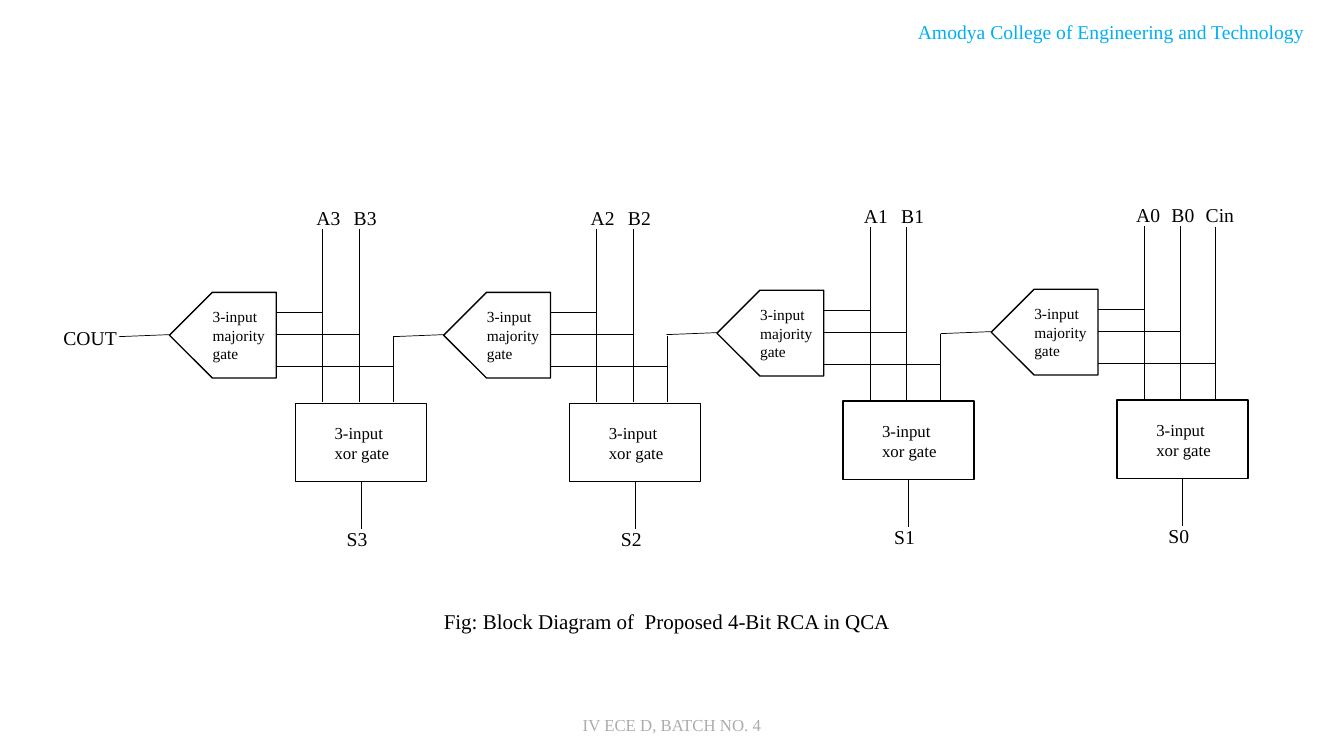
import pptx
import pptx.util
import pptx.dml.color
import pptx.enum.shapes
import pptx.enum.text
import pptx.oxml
import pptx.oxml.ns
from dataclasses import dataclass

PX = 9144  # EMU in one px, 100 px to the inch


@dataclass(frozen=True)
class Theme:
    font: str = "Times New Roman"
    ink: str = "000000"
    paper: str = "FFFFFF"
    blue: str = "00B0F0"
    gray: str = "AFABAB"
    title: int = 15
    label: int = 14
    small: int = 12
    tiny: int = 11
    thick: float = 1
    thin: float = 0.5


def color(code):
    return pptx.dml.color.RGBColor.from_string(code)


class Board:
    def __init__(self, slide, theme):
        self.slide, self.theme = slide, theme

    def text(self, words, x, y, w, h, size=None, ink=None, center=False):
        box = self.slide.shapes.add_textbox(x * PX, y * PX, w * PX, h * PX)
        frame = box.text_frame
        frame.word_wrap = True
        para = frame.paragraphs[0]
        align = pptx.enum.text.PP_ALIGN
        para.alignment = align.CENTER if center else align.LEFT
        run = para.add_run()
        run.text = words
        run.font.name = self.theme.font
        run.font.size = pptx.util.Pt(size or self.theme.label)
        run.font.color.rgb = color(ink or self.theme.ink)

    def block(self, kind, x, y, w, h, turn=0):
        shape = self.slide.shapes.add_shape(kind, x * PX, y * PX, w * PX, h * PX)
        shape.rotation = turn
        shape.shadow.inherit = False
        shape.fill.solid()
        shape.fill.fore_color.rgb = color(self.theme.paper)
        shape.line.color.rgb = color(self.theme.ink)
        shape.line.width = pptx.util.Pt(self.theme.thick)

    def wire(self, x1, y1, x2, y2):
        kind = pptx.enum.shapes.MSO_CONNECTOR.STRAIGHT
        line = self.slide.shapes.add_connector(
            kind, x1 * PX, y1 * PX, x2 * PX, y2 * PX)
        line.line.color.rgb = color(self.theme.ink)
        line.line.width = pptx.util.Pt(self.theme.thin)
        props = line._element.spPr
        props.append(pptx.oxml.parse_xml(
            "<a:effectLst %s/>" % pptx.oxml.ns.nsdecls("a")))

    def stage(self, bit, x, y, names):
        """One full adder; x, y is the corner of its majority gate."""
        kinds = pptx.enum.shapes.MSO_SHAPE
        # Gates
        self.block(kinds.PENTAGON, x, y, 106, 85, turn=180)
        self.block(kinds.RECTANGLE, x + 125, y + 110, 130, 78)
        # Input wires down to the xor gate
        first = bit == 0
        for dx, top in ((152, -63), (188, -63), (222, -62 if first else 43)):
            self.wire(x + dx, y + top, x + dx, y + 109)
        # Branches into the majority gate
        for dx, dy in ((188, 42), (152, 20), (222, 73)):
            self.wire(x + 106, y + dy, x + dx, y + dy)
        # Sum and carry out
        self.wire(x + 190, y + 188, x + 190, y + 235)
        self.wire(x, y + 42, x - 50, y + 44)
        # Labels
        for name, dx in names:
            self.text(name, x + dx, y - 91, 51, 34)
        self.text("3-input xor gate", x + 154, y + 124, 92, 49,
                  size=self.theme.small)
        self.text("3-input majority gate", x + 33, y + 10, 95, 64,
                  size=self.theme.tiny)
        self.text(f"S{bit}", x + 166, y + 228, 76, 34)


def main():
    deck = pptx.Presentation()
    deck.slide_width, deck.slide_height = 1333 * PX, 750 * PX
    theme = Theme()
    board = Board(deck.slides.add_slide(deck.slide_layouts[6]), theme)

    # Header, footer and caption
    board.text("Amodya College of Engineering and Technology",
               872, 15, 460, 34, ink=theme.blue, center=True)
    board.text("IV ECE D, BATCH NO. 4", 308, 704, 717, 30,
               size=theme.small, ink=theme.gray, center=True)
    board.text("Fig: Block Diagram of  Proposed 4-Bit RCA in QCA",
               401, 599, 521, 35, size=theme.title, center=True)

    # Adder chain, highest bit on the left
    for bit, x, y in ((3, 168, 290), (2, 440, 290), (1, 711, 288), (0, 983, 287)):
        if bit:
            names = ((f"A{bit}", 136), (f"B{bit}", 173))
        else:
            names = (("A0", 134), ("B0", 169), ("Cin", 203))
        board.stage(bit, x, y, names)
    board.text("COUT", 53, 318, 88, 33)

    deck.save("out.pptx")


if __name__ == "__main__":
    main()
